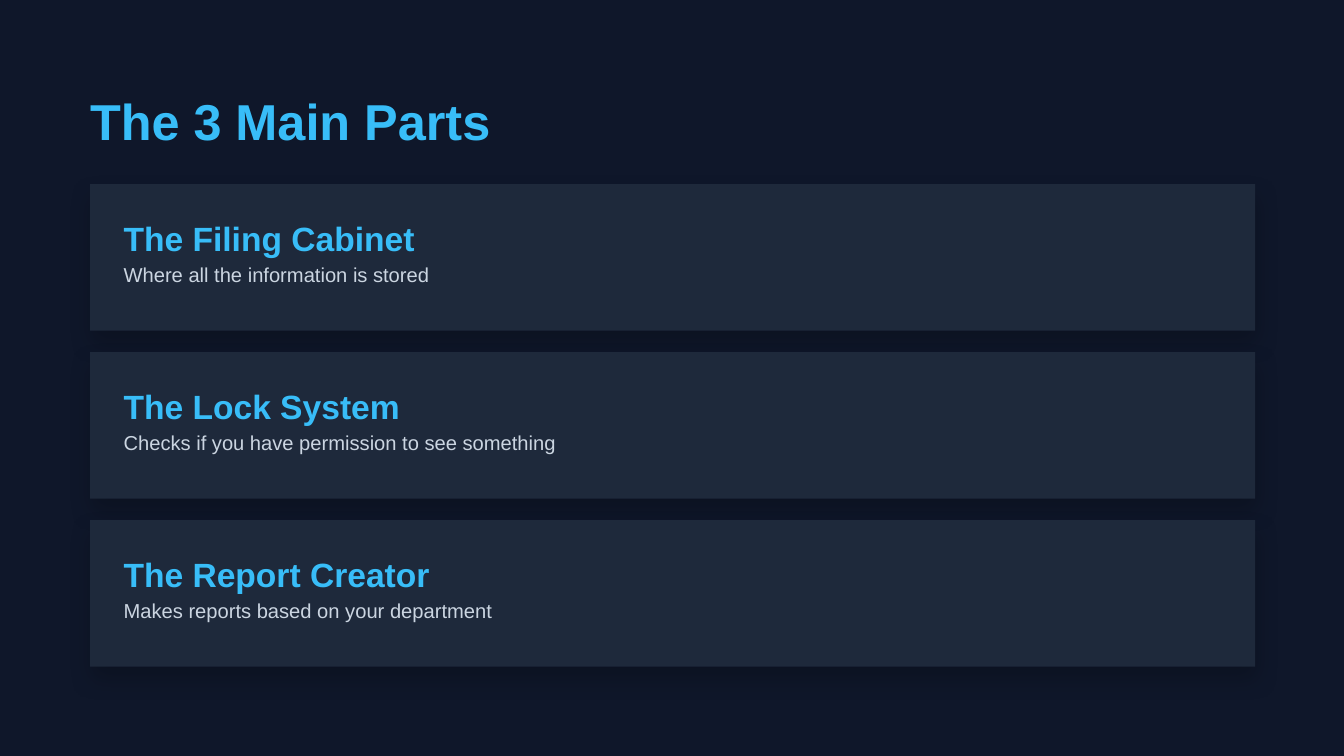
from lxml import etree
from pptx import Presentation
from pptx.dml.color import RGBColor
from pptx.enum.shapes import MSO_SHAPE
from pptx.oxml import parse_xml
from pptx.oxml.ns import nsdecls
from pptx.util import Inches, Pt

COLORS = {
    "background": "0F172A",
    "card": "1E293B",
    "heading": "38BDF8",
    "body": "CBD5E1",
    "shadow": "000000",
}
CARDS = [
    ("The Filing Cabinet", "Where all the information is stored"),
    ("The Lock System", "Checks if you have permission to see something"),
    ("The Report Creator", "Makes reports based on your department"),
]
LEFT, CARD_TOP, CARD_WIDTH, CARD_HEIGHT, CARD_GAP = 0.67, 1.37, 8.67, 1.09, 0.16
PADDING = 0.25


def add_text(slide, text, left, top, width, height, size, spacing, color, bold=False):
    box = slide.shapes.add_textbox(Inches(left), Inches(top), Inches(width), Inches(height))
    frame = box.text_frame
    frame.word_wrap = True
    frame.margin_left = frame.margin_right = frame.margin_top = frame.margin_bottom = 0
    paragraph = frame.paragraphs[0]
    paragraph.text = text
    paragraph.line_spacing = Pt(spacing)
    paragraph.font.name = "Arial"
    paragraph.font.size = Pt(size)
    paragraph.font.bold = bold
    paragraph.font.color.rgb = RGBColor.from_string(COLORS[color])


def add_soft_shadow(shape):
    """Cast a blurred shadow straight down at 20% opacity."""
    shape.shadow.inherit = False
    effects = shape.fill._xPr.find("{*}effectLst")
    effects.append(parse_xml(
        f'<a:outerShdw {nsdecls("a")} blurRad="{Pt(12)}" dist="{Pt(6)}" dir="5400000" '
        f'algn="bl" rotWithShape="0"><a:srgbClr val="{COLORS["shadow"]}">'
        '<a:alpha val="20000"/></a:srgbClr></a:outerShdw>'))


presentation = Presentation()
presentation.slide_width = Inches(10)
presentation.slide_height = Inches(5.625)
slide = presentation.slides.add_slide(presentation.slide_layouts[6])
slide.background.fill.solid()
slide.background.fill.fore_color.rgb = RGBColor.from_string(COLORS["background"])

add_text(slide, "The 3 Main Parts", LEFT, 0.67, 8.84, 0.45, 27, 32.4, "heading", bold=True)

for index, (heading, description) in enumerate(CARDS):
    top = CARD_TOP + index * (CARD_HEIGHT + CARD_GAP)
    card = slide.shapes.add_shape(
        MSO_SHAPE.RECTANGLE, Inches(LEFT), Inches(top), Inches(CARD_WIDTH), Inches(CARD_HEIGHT))
    card.fill.solid()
    card.fill.fore_color.rgb = RGBColor.from_string(COLORS["card"])
    card.line.fill.background()
    add_soft_shadow(card)

    text_left, text_top = LEFT + PADDING, top + PADDING
    add_text(slide, heading, text_left, text_top, 8.33, 0.3, 18, 21.6, "heading", bold=True)
    add_text(slide, description, text_left, text_top + 0.3, 8.33, 0.21, 10.8, 15.1, "body")

presentation.save("out.pptx")
